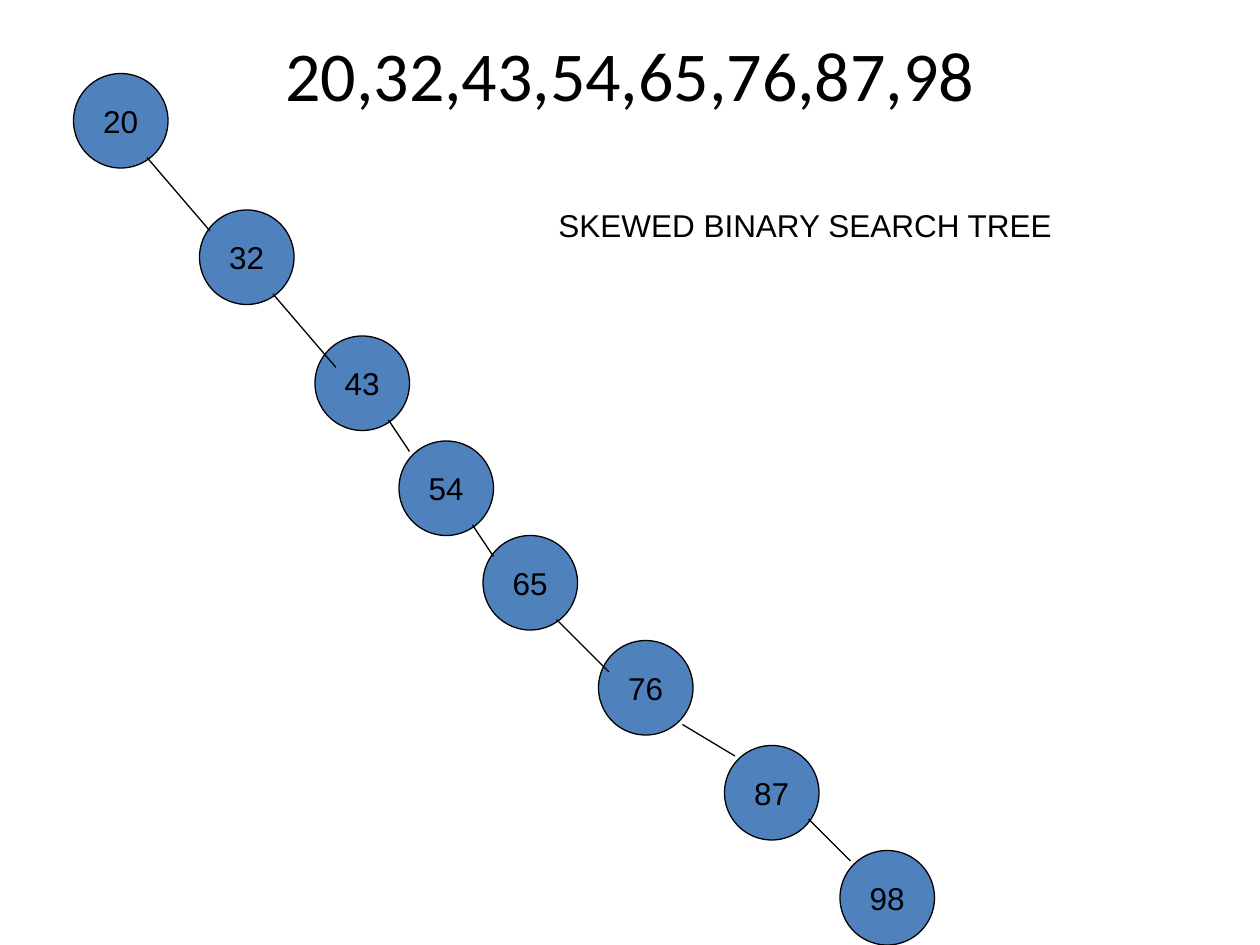
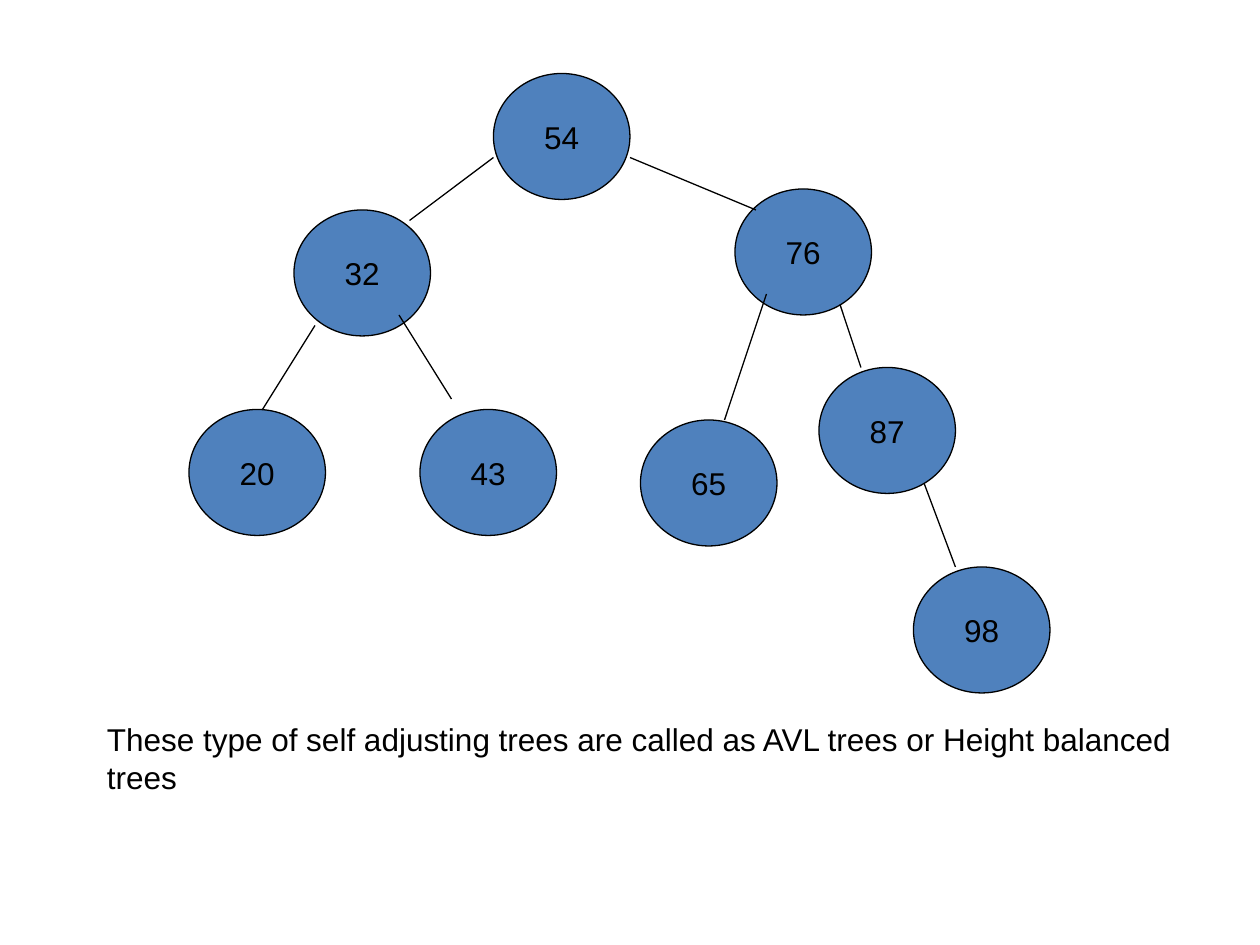
"""Draw a skewed binary search tree and its height balanced form."""
from lxml import etree
from pptx import Presentation
from pptx import util as u
from pptx.dml.color import RGBColor
from pptx.enum import shapes, text
from pptx.oxml.ns import qn


def color(value):
    """Turn a hex string into a colour."""
    return RGBColor.from_string(value)


class Deck:
    """Hold the style and the current slide on a grid of 120 by 90 cells."""

    COLS, ROWS = 120, 90
    INK, FILL = "000000", "4F81BD"
    BODY, HEAD = ("Arial", 18), ("Calibri", 40)
    LINE = u.Pt(0.75)

    def __init__(self):
        """Start an empty presentation of 10 by 7.5 inches."""
        self.prs = Presentation()
        self.prs.slide_width, self.prs.slide_height = u.Inches(10), u.Inches(7.5)
        self.s = None

    def slide(self):
        """Add a blank slide and make it current."""
        self.s = self.prs.slides.add_slide(self.prs.slide_layouts[6])

    def grid(self, *cells):
        """Turn alternating columns and rows into lengths."""
        units = (self.prs.slide_width / self.COLS, self.prs.slide_height / self.ROWS)
        return [round(c * units[i % 2]) for i, c in enumerate(cells)]

    def fill_text(self, sp, words, font, align):
        """Put one styled paragraph into a shape."""
        p = sp.text_frame.paragraphs[0]
        p.text, p.alignment = words, align
        p.font.name, p.font.size = font[0], u.Pt(font[1])
        p.font.color.rgb = color(self.INK)

    def label(self, words, box):
        """Add a wrapped text box."""
        sp = self.s.shapes.add_textbox(*self.grid(*box))
        sp.text_frame.word_wrap = True
        self.fill_text(sp, words, self.BODY, text.PP_ALIGN.LEFT)

    def title(self, words):
        """Add the centred title at the top."""
        sp = self.s.shapes.add_textbox(*self.grid(6, 3, 108, 15))
        tf = sp.text_frame
        tf.word_wrap, tf.margin_top = True, 0
        self.fill_text(sp, words, self.HEAD, text.PP_ALIGN.CENTER)

    def node(self, key, col, row, size):
        """Add a tree node with its key."""
        box = self.grid(col, row, *size)
        sp = self.s.shapes.add_shape(shapes.MSO_SHAPE.OVAL, *box)
        sp.shadow.inherit = False
        sp.fill.solid()
        sp.fill.fore_color.rgb = color(self.FILL)
        sp.line.color.rgb, sp.line.width = color(self.INK), self.LINE
        tf = sp.text_frame
        tf.word_wrap, tf.vertical_anchor = False, text.MSO_ANCHOR.MIDDLE
        self.fill_text(sp, str(key), self.BODY, text.PP_ALIGN.CENTER)

    def edge(self, *ends):
        """Add a straight line from a parent to a child."""
        ln = self.s.shapes.add_connector(shapes.MSO_CONNECTOR.STRAIGHT, *self.grid(*ends))
        ln.line.color.rgb, ln.line.width = color(self.INK), self.LINE
        etree.SubElement(ln._element.spPr, qn("a:effectLst"))

    def tree(self, nodes, size, edges):
        """Add all nodes, then the edges above them."""
        for key, (col, row) in nodes.items():
            self.node(key, col, row, size)
        for ends in edges:
            self.edge(*ends)


SKEWED = {20: (7, 7), 32: (19, 20), 43: (30, 32), 54: (38, 42),
          65: (46, 51), 76: (57, 61), 87: (69, 71), 98: (80, 81)}
SKEWED_EDGES = [(14, 15, 20, 22), (26, 28, 32, 35), (37, 40, 39, 43), (45, 50, 47, 53),
                (53, 59, 58, 64), (65, 69, 70, 72), (77, 78, 81, 82)]
BALANCED = {54: (47, 7), 43: (40, 39), 32: (28, 20), 65: (61, 40),
            76: (70, 18), 87: (78, 35), 98: (87, 54), 20: (18, 39)}
BALANCED_EDGES = [(47, 15, 39, 21), (30, 31, 25, 39), (60, 15, 72, 20), (80, 29, 82, 35),
                  (88, 46, 91, 54), (38, 30, 43, 38), (73, 28, 69, 40)]


def main():
    """Build both slides and save them."""
    deck = Deck()
    deck.slide()
    deck.title(",".join(map(str, SKEWED)))
    deck.tree(SKEWED, (9, 9), SKEWED_EDGES)
    deck.label("SKEWED BINARY SEARCH TREE", (52, 19, 55, 4.8))

    deck.slide()
    deck.tree(BALANCED, (13, 12), BALANCED_EDGES)
    deck.label("These type of self adjusting trees are called as AVL trees "
               "or Height balanced trees", (9, 68, 108, 8.4))
    deck.prs.save("out.pptx")


if __name__ == "__main__":
    main()
